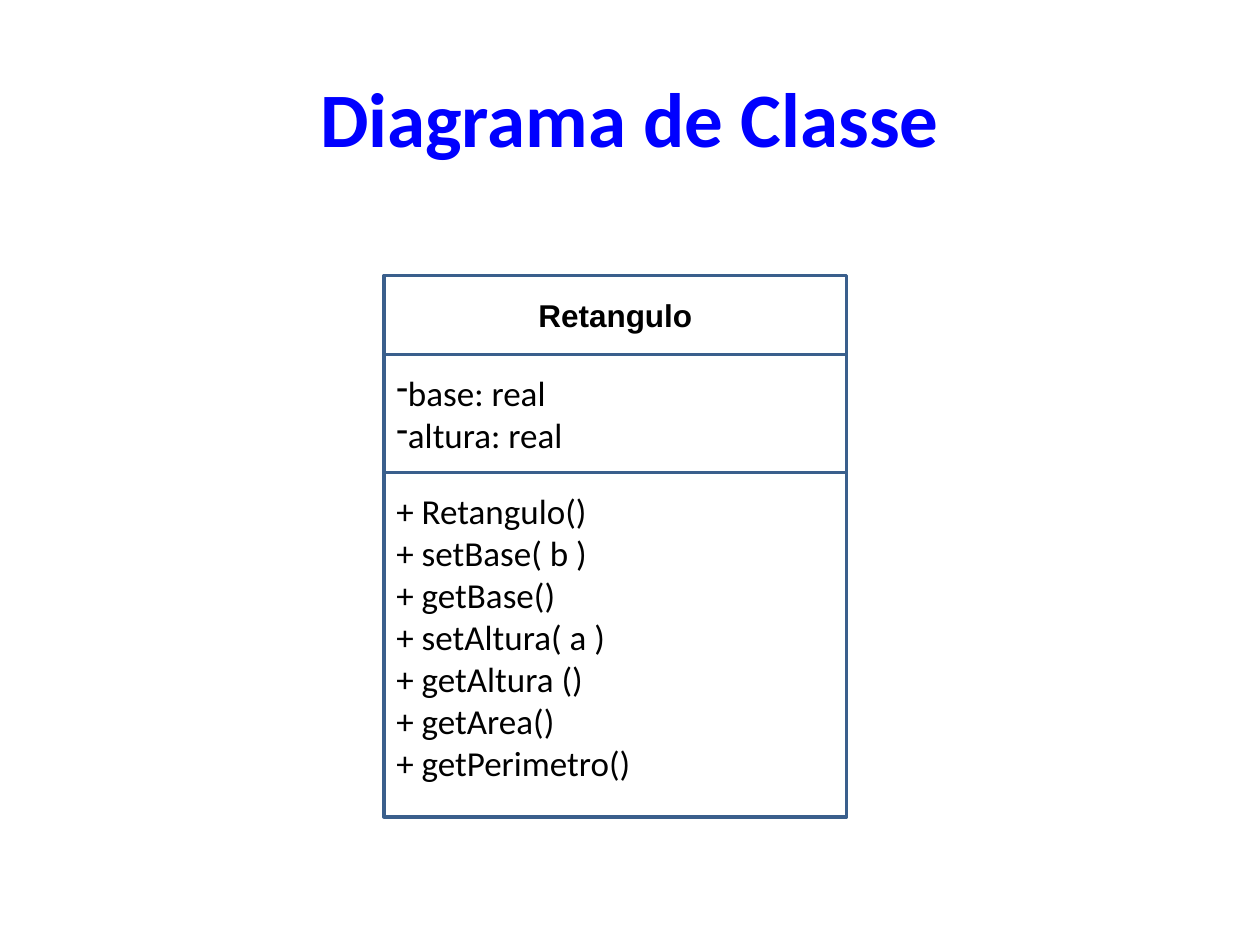
from lxml.etree import SubElement
from pptx import Presentation
from pptx.dml.color import RGBColor
from pptx.enum.shapes import MSO_SHAPE
from pptx.enum.text import MSO_ANCHOR, PP_ALIGN
from pptx.oxml.ns import qn
from pptx.util import Pt

BLUE = RGBColor(0x00, 0x00, 0xFF)
STEEL = RGBColor(0x3A, 0x5F, 0x8C)
BLACK = RGBColor(0x00, 0x00, 0x00)

ATTRIBUTES = ["base: real", "altura: real"]
METHODS = ["+ Retangulo()", "+ setBase( b )", "+ getBase()", "+ setAltura( a )",
           "+ getAltura ()", "+ getArea()", "+ getPerimetro()"]


def write(sp, lines, size, font="Calibri", color=BLACK, bold=False,
          align=PP_ALIGN.LEFT, bullet=None):
    """Fill a shape with one paragraph per line, centred vertically."""
    tf = sp.text_frame
    tf.word_wrap = True
    tf.vertical_anchor = MSO_ANCHOR.MIDDLE
    tf.text = "\n".join(lines)
    for p in tf.paragraphs:
        p.alignment = align
        if bullet:
            pPr = p._p.get_or_add_pPr()
            SubElement(pPr, qn("a:buFontTx"))
            SubElement(pPr, qn("a:buChar"), char=bullet)
        for r in p.runs:
            r.font.name, r.font.size = font, Pt(size)
            r.font.bold, r.font.color.rgb = bold, color


def add_title(s, text, left, top, width, height):
    """Place the slide title."""
    sp = s.shapes.add_textbox(Pt(left), Pt(top), Pt(width), Pt(height))
    write(sp, [text], 44, color=BLUE, bold=True, align=PP_ALIGN.CENTER)


def add_compartment(s, left, top, width, height):
    """Draw one outlined compartment of a class box."""
    sp = s.shapes.add_shape(MSO_SHAPE.RECTANGLE, Pt(left), Pt(top), Pt(width), Pt(height))
    sp.shadow.inherit = False
    sp.fill.background()
    sp.line.color.rgb = STEEL
    sp.line.width = Pt(2)
    return sp


def add_class(s, name, attributes, methods, left, top, width, height):
    """Stack the name, attribute and method compartments in the given box."""
    name_h, attr_h = 45, 67.5
    head = add_compartment(s, left, top, width, name_h)
    write(head, [name], 18, font="Arial", bold=True, align=PP_ALIGN.CENTER)
    attrs = add_compartment(s, left, top + name_h, width, attr_h)
    write(attrs, attributes, 20, bullet="-")
    used = name_h + attr_h
    ops = add_compartment(s, left, top + used, width, height - used)
    write(ops, methods, 20)
    ops.text_frame.margin_bottom = Pt(13.4)


prs = Presentation()
prs.slide_width, prs.slide_height = Pt(720), Pt(540)
s = prs.slides.add_slide(prs.slide_layouts[6])
add_title(s, "Diagrama de Classe", 36, 21.6, 648, 90)
add_class(s, "Retangulo", ATTRIBUTES, METHODS, 219.4, 157.5, 264.4, 309.3)
prs.save("out.pptx")
